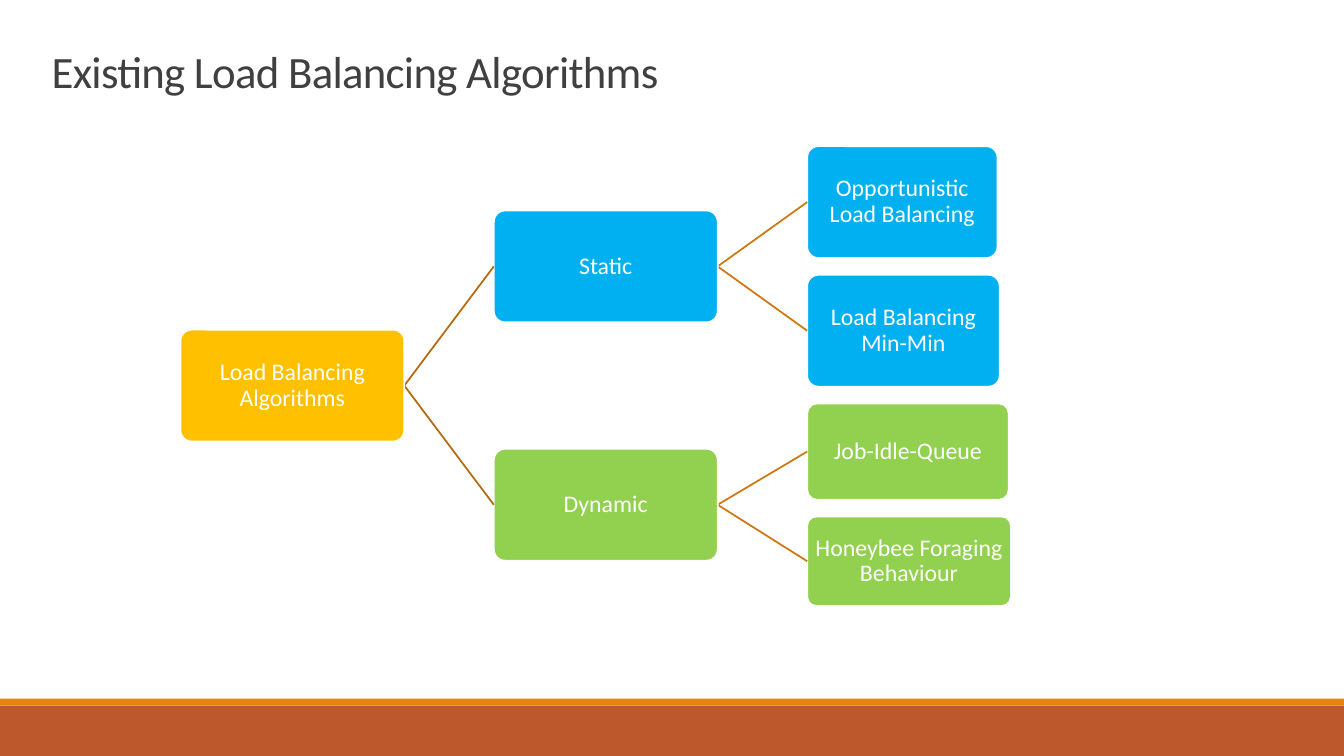
"""Build a slide that shows load balancing algorithms as a tree."""
from dataclasses import dataclass

from lxml.etree import SubElement
from pptx import Presentation
from pptx.dml.color import RGBColor as Color
from pptx.enum.shapes import MSO_CONNECTOR as Connector, MSO_SHAPE as Shape
from pptx.enum.text import MSO_ANCHOR as Anchor, PP_ALIGN as Align
from pptx.oxml.ns import qn
from pptx.util import Inches, Pt


@dataclass(frozen=True)
class Theme:
    font: str = "Calibri"
    title_size: int = 32
    box_size: int = 17
    line_width: float = 1.25
    title: str = "404040"
    white: str = "FFFFFF"
    root: str = "FFC000"
    static: str = "00B0F0"
    dynamic: str = "92D050"
    footer: str = "BD582C"
    stripe: str = "E48312"
    branches: tuple = ("B7690E", "CF7710")


@dataclass(frozen=True)
class Node:
    text: str
    fill: str
    columns: float = 1
    rows: float = 1
    children: tuple = ()


class TreeSlide:
    """Draw on one slide, with lengths in grid cells or percent of the slide."""

    WIDTH, HEIGHT = 13.33, 7.5
    LEFT, TOP = 1.79, 1.45
    COLUMN, ROW = 2.22, 1.11
    COLUMN_STEP, ROW_GAP = 1.4, 0.15

    def __init__(self, presentation, theme):
        self.theme = theme
        presentation.slide_width = Inches(self.WIDTH)
        presentation.slide_height = Inches(self.HEIGHT)
        self.slide = presentation.slides.add_slide(presentation.slide_layouts[6])
        self.next_row = 0

    def percent(self, left, top, width, height):
        return [Inches(share * side / 100) for share, side in
                zip((left, top, width, height), (self.WIDTH, self.HEIGHT) * 2)]

    def point(self, column, row):
        return (Inches(self.LEFT + column * self.COLUMN),
                Inches(self.TOP + row * self.ROW))

    def add_text(self, frame, text, size, color, spacing):
        frame.word_wrap = True
        paragraph = frame.paragraphs[0]
        paragraph.line_spacing = spacing
        run = paragraph.add_run()
        run.text = text
        run.font.name = self.theme.font
        run.font.size = Pt(size)
        run.font.color.rgb = Color.from_string(color)
        return paragraph, run

    def title(self, text, *area):
        frame = self.slide.shapes.add_textbox(*self.percent(*area)).text_frame
        frame.vertical_anchor = Anchor.BOTTOM
        _, run = self.add_text(frame, text, self.theme.title_size,
                               self.theme.title, 0.85)
        run._r.get_or_add_rPr().set("spc", "-50")

    def filled(self, kind, area, fill):
        shape = self.slide.shapes.add_shape(kind, *area)
        shape.shadow.inherit = False
        shape.fill.solid()
        shape.fill.fore_color.rgb = Color.from_string(fill)
        shape.line.fill.background()
        return shape

    def bar(self, fill, *area):
        self.filled(Shape.RECTANGLE, self.percent(*area), fill)

    def box(self, node, column, row):
        size = Inches(node.columns * self.COLUMN), Inches(node.rows * self.ROW)
        shape = self.filled(Shape.ROUNDED_RECTANGLE,
                            (*self.point(column, row), *size), node.fill)
        shape.adjustments[0] = 0.1
        shape.line.color.rgb = Color.from_string(self.theme.white)
        shape.line.width = Pt(self.theme.line_width)
        frame = shape.text_frame
        frame.margin_left = frame.margin_right = Inches(0.04)
        frame.margin_top = frame.margin_bottom = Inches(0.04)
        frame.vertical_anchor = Anchor.MIDDLE
        paragraph, _ = self.add_text(frame, node.text, self.theme.box_size,
                                     self.theme.white, 0.9)
        paragraph.alignment = Align.CENTER

    def branch(self, start, end, color):
        line = self.slide.shapes.add_connector(
            Connector.STRAIGHT, *self.point(*start), *self.point(*end))
        line.line.color.rgb = Color.from_string(color)
        line.line.width = Pt(self.theme.line_width)
        SubElement(line._element.spPr, qn("a:effectLst"))

    def tree(self, node, level=0):
        column = level * self.COLUMN_STEP
        spans = [self.tree(child, level + 1) for child in node.children]
        if spans:
            middle = (spans[0][0] + spans[-1][1]) / 2
            top = middle - node.rows / 2
        else:
            top = self.next_row
            self.next_row += node.rows + self.ROW_GAP
        for child_top, child_bottom in spans:
            self.branch((column + node.columns, middle),
                        (column + self.COLUMN_STEP, (child_top + child_bottom) / 2),
                        self.theme.branches[level])
        self.box(node, column, top)
        return top, top + node.rows


def main():
    theme = Theme()
    presentation = Presentation()
    slide = TreeSlide(presentation, theme)
    slide.bar(theme.footer, 0, 93.33, 100, 6.67)
    slide.bar(theme.stripe, 0, 92.4, 100, 0.93)
    slide.title("Existing Load Balancing Algorithms", 3.1, 5.87, 82.5, 7.73)
    static = Node("Static", theme.static, children=(
        Node("Opportunistic Load Balancing", theme.static, 0.85),
        Node("Load Balancing Min-Min", theme.static, 0.86)))
    dynamic = Node("Dynamic", theme.dynamic, children=(
        Node("Job-Idle-Queue", theme.dynamic, 0.9, 0.86),
        Node("Honeybee Foraging Behaviour", theme.dynamic, 0.91, 0.8)))
    slide.tree(Node("Load Balancing Algorithms", theme.root, children=(static, dynamic)))
    presentation.save("out.pptx")


if __name__ == "__main__":
    main()
